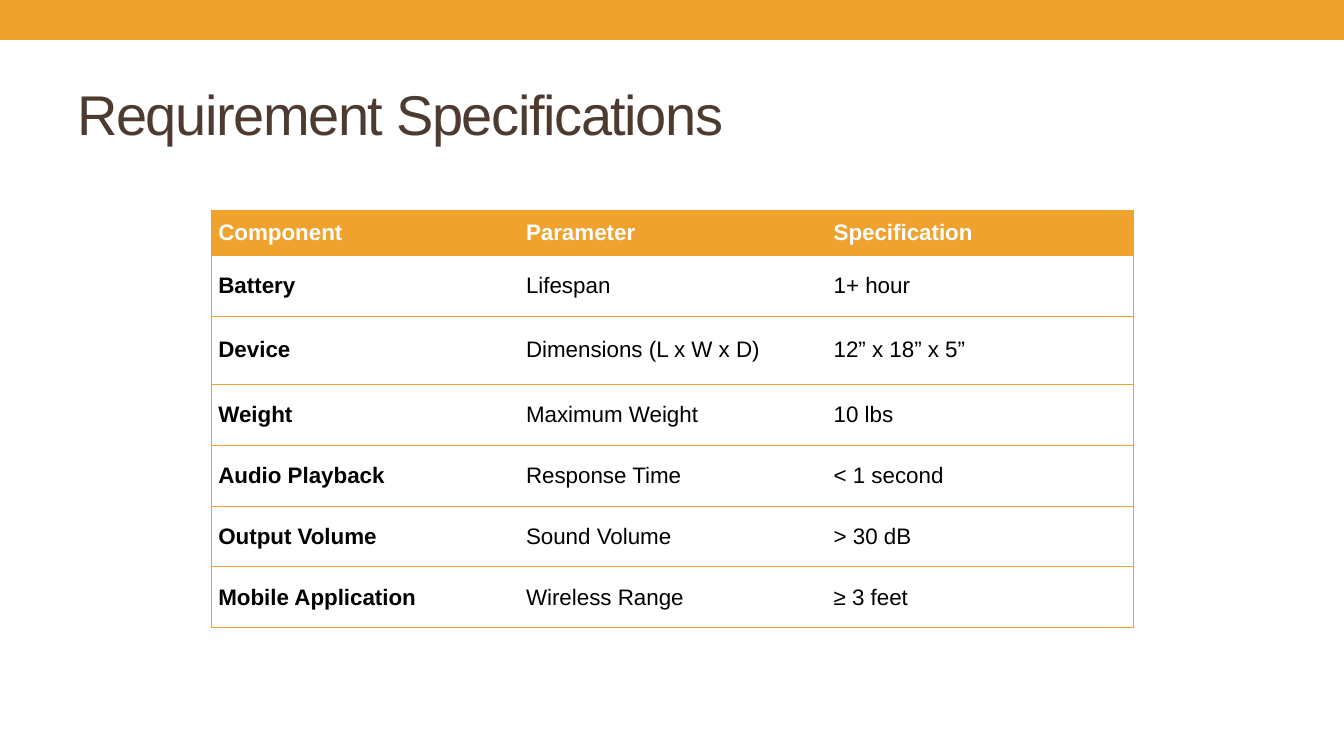
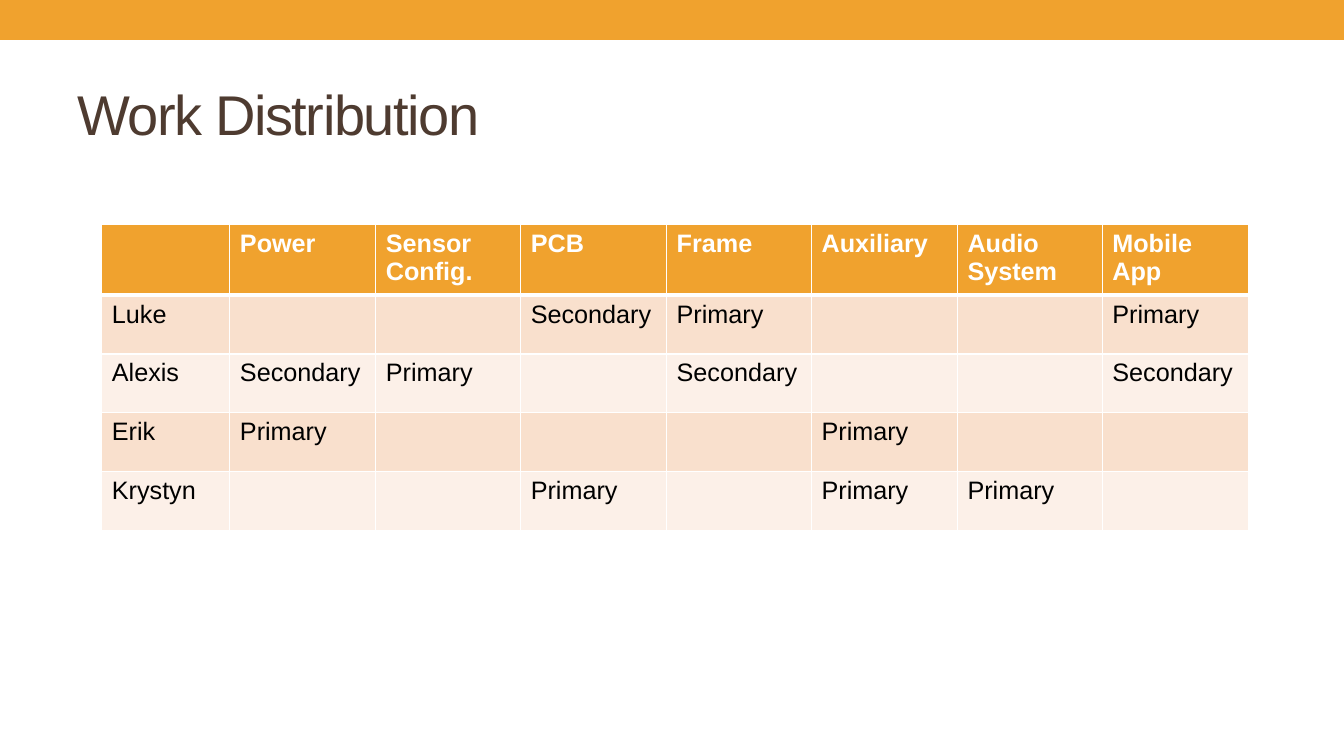
from pptx import Presentation
from pptx.dml.color import RGBColor
from pptx.enum.shapes import MSO_SHAPE
from pptx.enum.text import MSO_ANCHOR
from pptx.oxml.ns import qn
from pptx.util import Emu, Pt
from lxml.etree import SubElement

# Shared style
PX = 9525
WIDTH, HEIGHT = 1280, 720
FONT = "Arial"
ORANGE, BROWN, WHITE, BLACK = "F0A22E", "4E3B30", "FFFFFF", "000000"
BANDS = ["F9E0CD", "FCF0E8"]
SIDES = {"left": "a:lnL", "right": "a:lnR", "top": "a:lnT", "bottom": "a:lnB"}

# Content
REQUIREMENTS = [
    ["Component", "Parameter", "Specification"],
    ["Battery", "Lifespan", "1+ hour"],
    ["Device", "Dimensions (L x W x D)", "12” x 18” x 5”"],
    ["Weight", "Maximum Weight", "10 lbs"],
    ["Audio Playback", "Response Time", "< 1 second"],
    ["Output Volume", "Sound Volume", "> 30 dB"],
    ["Mobile Application", "Wireless Range", "≥ 3 feet"],
]
TASKS = ["Power", "Sensor Config.", "PCB", "Frame", "Auxiliary", "Audio System", "Mobile App"]
ROLES = {
    "Luke": {"PCB": "Secondary", "Frame": "Primary", "Mobile App": "Primary"},
    "Alexis": {"Power": "Secondary", "Sensor Config.": "Primary",
               "Frame": "Secondary", "Mobile App": "Secondary"},
    "Erik": {"Power": "Primary", "Auxiliary": "Primary"},
    "Krystyn": {"PCB": "Primary", "Auxiliary": "Primary", "Audio System": "Primary"},
}


def px(length):
    return Emu(length * PX)


def rgb(color):
    return RGBColor.from_string(color)


def write_text(frame, text, size, color, bold=False, space_after=0, tracking=None):
    paragraph = frame.paragraphs[0]
    paragraph.space_after = Pt(space_after)
    paragraph.font.size = Pt(size)
    if not text:
        return
    run = paragraph.add_run()
    run.text = text
    run.font.name = FONT
    run.font.size = Pt(size)
    run.font.bold = bold
    run.font.color.rgb = rgb(color)
    if tracking:
        run.font._element.set("spc", str(tracking * 100))


def add_titled_slide(presentation, title):
    slide = presentation.slides.add_slide(presentation.slide_layouts[6])
    # Top band
    band = slide.shapes.add_shape(MSO_SHAPE.RECTANGLE, 0, 0, px(WIDTH), px(38))
    band.shadow.inherit = False
    band.fill.solid()
    band.fill.fore_color.rgb = rgb(ORANGE)
    band.line.fill.background()
    # Title
    box = slide.shapes.add_textbox(px(64), px(56), px(1152), px(104))
    box.text_frame.word_wrap = True
    box.text_frame.vertical_anchor = MSO_ANCHOR.MIDDLE
    write_text(box.text_frame, title, 40, BROWN, tracking=-1)
    return slide


def add_plain_table(slide, left, top, widths, heights):
    frame = slide.shapes.add_table(len(heights), len(widths), px(left), px(top),
                                   px(sum(widths)), px(sum(heights)))
    table = frame.table
    table.first_row = table.horz_banding = False
    for column, width in zip(table.columns, widths):
        column.width = px(width)
    for row, height in zip(table.rows, heights):
        row.height = px(height)
    return table


def set_borders(cell, color, **weights):
    """Draw the sides that have a weight in points and clear the others."""
    properties = cell._tc.get_or_add_tcPr()
    for side, tag in SIDES.items():
        weight = weights.get(side, 0)
        line = SubElement(properties, qn(tag), w=str(Pt(weight)))
        if weight:
            fill = SubElement(line, qn("a:solidFill"))
            SubElement(fill, qn("a:srgbClr"), val=color)
        else:
            SubElement(line, qn("a:noFill"))


def set_fill(cell, color=None):
    if color:
        cell.fill.solid()
        cell.fill.fore_color.rgb = rgb(color)
    else:
        cell.fill.background()


def add_requirements(slide):
    table = add_plain_table(slide, 201, 200, [293] * 3, [43, 58, 65] + [58] * 4)
    for row, texts in enumerate(REQUIREMENTS):
        header = row == 0
        for column, text in enumerate(texts):
            cell = table.cell(row, column)
            set_borders(cell, ORANGE, top=0.75, bottom=0.75,
                        left=0.75 if column == 0 else 0,
                        right=0.75 if column == len(texts) - 1 else 0)
            set_fill(cell, ORANGE if header else None)
            cell.margin_left = cell.margin_right = px(7)
            cell.margin_top = cell.margin_bottom = 0
            cell.vertical_anchor = MSO_ANCHOR.MIDDLE
            write_text(cell.text_frame, text, 16, WHITE if header else BLACK,
                       bold=header or column == 0, space_after=0 if header else 6)


def add_work_distribution(slide):
    rows = [[""] + TASKS]
    rows += [[name] + [roles.get(task, "") for task in TASKS] for name, roles in ROLES.items()]
    # Task columns share 970 px evenly
    edges = [round(970 * index / len(TASKS)) for index in range(len(TASKS) + 1)]
    widths = [122] + [end - start for start, end in zip(edges, edges[1:])]
    table = add_plain_table(slide, 97, 214, widths, [58] + [56] * len(ROLES))
    for row, texts in enumerate(rows):
        header = row == 0
        for column, text in enumerate(texts):
            cell = table.cell(row, column)
            set_borders(cell, WHITE, left=1, right=1,
                        top=3 if row == 1 else 1, bottom=3 if header else 1)
            set_fill(cell, ORANGE if header else BANDS[(row - 1) % 2])
            write_text(cell.text_frame, text, 18, WHITE if header else BLACK, bold=header)


def main():
    presentation = Presentation()
    presentation.slide_width, presentation.slide_height = px(WIDTH), px(HEIGHT)
    add_requirements(add_titled_slide(presentation, "Requirement Specifications"))
    add_work_distribution(add_titled_slide(presentation, "Work Distribution"))
    presentation.save("out.pptx")


if __name__ == "__main__":
    main()
